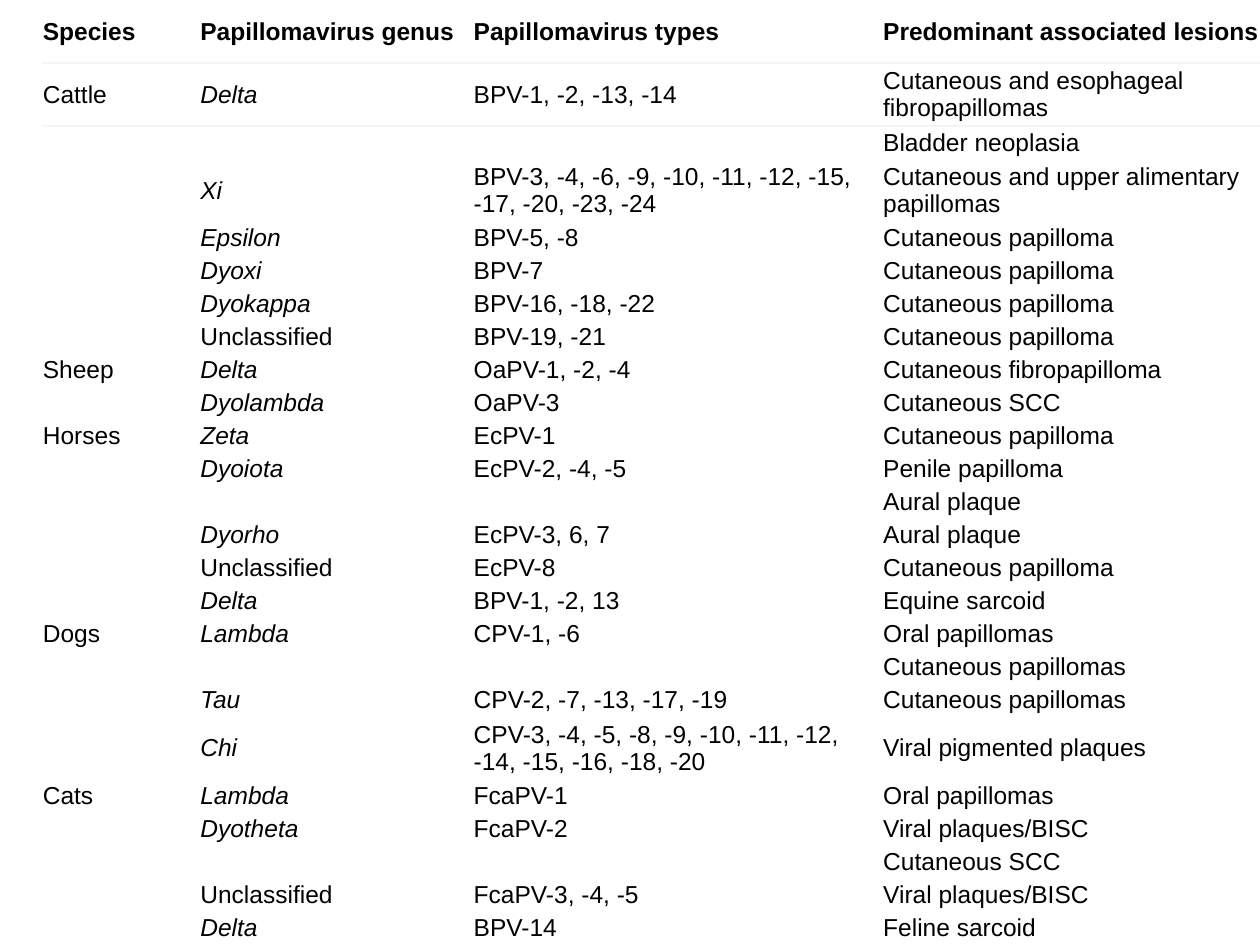
"""Build a slide with a table of papillomavirus genera, types and lesions by species."""
from lxml import etree
from pptx import Presentation
from pptx.dml.color import RGBColor
from pptx.enum.text import MSO_ANCHOR
from pptx.oxml import parse_xml
from pptx.oxml.ns import nsdecls, qn
from pptx.util import Inches, Pt

BLACK = RGBColor(0x00, 0x00, 0x00)
RULE = RGBColor(0xF5, 0xF5, 0xF5)
NO_STYLE = "{2D5ABB26-0587-4C30-8999-92F81FD0307C}"
FONT_SIZE = 14
MARGIN = Inches(0.01)

ROWS = [
    ("Species", "Papillomavirus genus", "Papillomavirus types", "Predominant associated lesions"),
    ("Cattle", "Delta", "BPV-1, -2, -13, -14", "Cutaneous and esophageal fibropapillomas"),
    ("", "", "", "Bladder neoplasia"),
    ("", "Xi", "BPV-3, -4, -6, -9, -10, -11, -12, -15, -17, -20, -23, -24",
     "Cutaneous and upper alimentary papillomas"),
    ("", "Epsilon", "BPV-5, -8", "Cutaneous papilloma"),
    ("", "Dyoxi", "BPV-7", "Cutaneous papilloma"),
    ("", "Dyokappa", "BPV-16, -18, -22", "Cutaneous papilloma"),
    ("", "Unclassified", "BPV-19, -21", "Cutaneous papilloma"),
    ("Sheep", "Delta", "OaPV-1, -2, -4", "Cutaneous fibropapilloma"),
    ("", "Dyolambda", "OaPV-3", "Cutaneous SCC"),
    ("Horses", "Zeta", "EcPV-1", "Cutaneous papilloma"),
    ("", "Dyoiota", "EcPV-2, -4, -5", "Penile papilloma"),
    ("", "", "", "Aural plaque"),
    ("", "Dyorho", "EcPV-3, 6, 7", "Aural plaque"),
    ("", "Unclassified", "EcPV-8", "Cutaneous papilloma"),
    ("", "Delta", "BPV-1, -2, 13", "Equine sarcoid"),
    ("Dogs", "Lambda", "CPV-1, -6", "Oral papillomas"),
    ("", "", "", "Cutaneous papillomas"),
    ("", "Tau", "CPV-2, -7, -13, -17, -19", "Cutaneous papillomas"),
    ("", "Chi", "CPV-3, -4, -5, -8, -9, -10, -11, -12, -14, -15, -16, -18, -20",
     "Viral pigmented plaques"),
    ("Cats", "Lambda", "FcaPV-1", "Oral papillomas"),
    ("", "Dyotheta", "FcaPV-2", "Viral plaques/BISC"),
    ("", "", "", "Cutaneous SCC"),
    ("", "Unclassified", "FcaPV-3, -4, -5", "Viral plaques/BISC"),
    ("", "Delta", "BPV-14", "Feline sarcoid"),
]
COL_WIDTHS = [1.25, 2.17, 3.25, 3]
TWO_LINE_ROWS = {0, 1, 3, 19}
TWO_LINE_HEIGHT = 0.5
ONE_LINE_HEIGHT = (7.5 - len(TWO_LINE_ROWS) * TWO_LINE_HEIGHT) / (len(ROWS) - len(TWO_LINE_ROWS))


def add_border(cell, side):
    line = parse_xml(
        f'<a:{side} {nsdecls("a")} w="{Pt(0.75)}"><a:solidFill>'
        f'<a:srgbClr val="{RULE}"/></a:solidFill></a:{side}>')
    cell._tc.get_or_add_tcPr().insert(0, line)


prs = Presentation()
prs.slide_width, prs.slide_height = Inches(10), Inches(7.5)
s = prs.slides.add_slide(prs.slide_layouts[6])

frame = s.shapes.add_table(len(ROWS), len(COL_WIDTHS), Inches(0.33), Inches(0),
                           Inches(sum(COL_WIDTHS)), Inches(7.5))
table = frame.table
table.horz_banding = False
table._tbl.tblPr.find(qn("a:tableStyleId")).text = NO_STYLE

for column, width in zip(table.columns, COL_WIDTHS):
    column.width = Inches(width)

for i, row in enumerate(ROWS):
    table.rows[i].height = Inches(TWO_LINE_HEIGHT if i in TWO_LINE_ROWS else ONE_LINE_HEIGHT)
    for j, text in enumerate(row):
        cell = table.cell(i, j)
        cell.fill.background()
        cell.vertical_anchor = MSO_ANCHOR.MIDDLE
        cell.margin_left = cell.margin_right = MARGIN
        cell.margin_top = cell.margin_bottom = MARGIN
        if i < 2:
            add_border(cell, "lnT" if i else "lnB")
        p = cell.text_frame.paragraphs[0]
        if not text:
            etree.SubElement(p._p, qn("a:endParaRPr"), sz=str(FONT_SIZE * 100))
            continue
        r = p.add_run()
        r.text = text
        r.font.name = "Arial"
        r.font.size = Pt(FONT_SIZE)
        r.font.color.rgb = BLACK
        r.font.bold = i == 0
        r.font.italic = i > 0 and j == 1 and text != "Unclassified"

prs.save("out.pptx")
